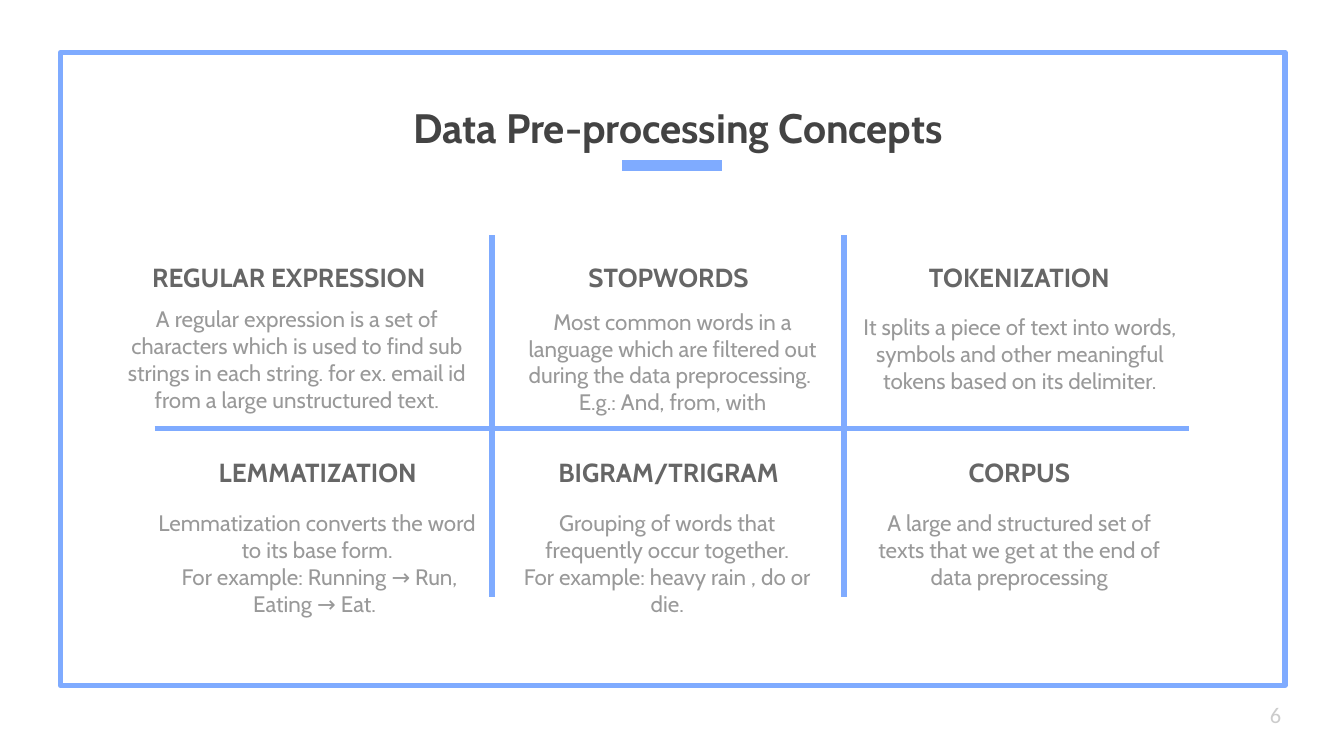
"""Build the slide of six data pre-processing concepts."""
from dataclasses import dataclass

from lxml import etree
from pptx import Presentation, util as u
from pptx.dml.color import RGBColor
from pptx.enum import shapes, text
from pptx.oxml import ns

PX = 9144


@dataclass(frozen=True)
class Theme:
    """Colours, fonts, type sizes and line widths in points."""
    accent: str = "7FABFF"
    title: str = "434343"
    heading: str = "666666"
    body: str = "999999"
    number: str = "CCCCCC"
    font: str = "Cabin"
    number_font: str = "Calibri"
    title_size: int = 22
    heading_size: int = 14
    body_size: int = 12
    rule: float = 3
    thin_rule: float = 2.25
    title_bar: float = 6


THEME = Theme()

COLUMN_STEP, ROW_STEP = 261, 145
CELL_WIDTH, CELL_HEIGHT = 231, 71

CONCEPTS = [
    ("REGULAR EXPRESSION", (-43, 274), (-44, 60, 288),
     ["A regular expression is a set of characters which is used to find sub "
      "strings in each string. for ex. email id from a large unstructured text."]),
    ("STOPWORDS", (0, CELL_WIDTH), (-8, 62, 253),
     ["Most common words in a language which are filtered out during the data "
      "preprocessing. ", "E.g.: And, from, with"]),
    ("TOKENIZATION", (0, CELL_WIDTH), (-11, 66, 254),
     ["It splits a piece of text into words, symbols and other meaningful "
      "tokens based on its delimiter."]),
    ("LEMMATIZATION", (0, CELL_WIDTH), (-14, 67, 258),
     ["Lemmatization converts the word to its base form.",
      " For example: Running → Run, Eating → Eat. "]),
    ("BIGRAM/TRIGRAM", (0, CELL_WIDTH), (-8, 67, 245),
     ["Grouping of words that frequently occur together.",
      "For example: heavy rain , do or die."]),
    ("CORPUS", (0, CELL_WIDTH), (0, 67, CELL_WIDTH),
     ["A large and structured set of texts that we get at the end of data "
      "preprocessing"]),
]


def emu(*lengths):
    """Turn px lengths into EMU."""
    return [length * PX for length in lengths]


def style_line(line, width):
    """Give a line the accent colour and a width in points."""
    line.color.rgb = RGBColor.from_string(THEME.accent)
    line.width = u.Pt(width)


def add_rule(slide, start, end, width):
    """Draw a straight accent line."""
    rule = slide.shapes.add_connector(
        shapes.MSO_CONNECTOR.STRAIGHT, *emu(*start, *end))
    style_line(rule.line, width)
    etree.SubElement(rule._element.spPr, ns.qn("a:effectLst"))


def add_text(slide, box, lines, size, color, anchor, bold=False,
             font=THEME.font, align=text.PP_ALIGN.CENTER):
    """Place one paragraph per line in a box."""
    frame = slide.shapes.add_textbox(*emu(*box)).text_frame
    frame.word_wrap = True
    frame.vertical_anchor = anchor
    frame.margin_left = frame.margin_right = 10 * PX
    frame.margin_top = frame.margin_bottom = 10 * PX
    frame.text = "\n".join(lines)
    for paragraph in frame.paragraphs:
        paragraph.alignment = align
        paragraph.font.name = font
        paragraph.font.size = u.Pt(size)
        paragraph.font.bold = bold
        paragraph.font.color.rgb = RGBColor.from_string(color)


def add_frame(slide, box):
    """Draw the border around the content."""
    border = slide.shapes.add_shape(shapes.MSO_SHAPE.RECTANGLE, *emu(*box))
    border.shadow.inherit = False
    border.fill.background()
    style_line(border.line, THEME.rule)


def add_title(slide, box):
    """Place the title and the short bar below it."""
    left, top, width, height = box
    add_text(slide, box, ["Data Pre-processing Concepts"], THEME.title_size,
             THEME.title, text.MSO_ANCHOR.BOTTOM, bold=True)
    bar_left, bar_top = left + 378, top + height
    add_rule(slide, (bar_left, bar_top), (bar_left + 74, bar_top), THEME.title_bar)


def add_dividers(slide, box):
    """Draw the lines that part the six concepts."""
    left, top, width, height = box
    middle = top + 144
    add_rule(slide, (left, middle), (left + width, middle), THEME.rule)
    for column in range(3):
        start = left + 11 + column * COLUMN_STEP
        add_rule(slide, (start, middle), (start + 226, middle), THEME.thin_rule)
    for divider in (left + 251, left + 513):
        add_rule(slide, (divider, top), (divider, top + height), THEME.rule)


def add_concept(slide, box, heading, heading_span, body_place, body):
    """Place a concept's heading and explanation in its cell."""
    left, top, width, height = box
    heading_dx, heading_width = heading_span
    body_dx, body_dy, body_width = body_place
    add_text(slide, (left + heading_dx, top, heading_width, height), [heading],
             THEME.heading_size, THEME.heading, text.MSO_ANCHOR.BOTTOM, bold=True)
    add_text(slide, (left + body_dx, top + body_dy, body_width, height), body,
             THEME.body_size, THEME.body, text.MSO_ANCHOR.TOP)


def add_concepts(slide, box):
    """Lay out the concepts in rows of three."""
    left, top = box[:2]
    for index, concept in enumerate(CONCEPTS):
        row, column = divmod(index, 3)
        cell = (left + column * COLUMN_STEP, top + row * ROW_STEP,
                CELL_WIDTH, CELL_HEIGHT)
        add_concept(slide, cell, *concept)


def add_page_number(slide, box):
    """Place the page number."""
    add_text(slide, box, ["6"], THEME.body_size, THEME.number,
             text.MSO_ANCHOR.MIDDLE, font=THEME.number_font,
             align=text.PP_ALIGN.LEFT)


def main():
    """Build and save the presentation."""
    deck = Presentation()
    deck.slide_width = 1000 * PX
    deck.slide_height = deck.slide_width * 9 // 16
    slide = deck.slides.add_slide(deck.slide_layouts[6])
    add_frame(slide, (45, 39, 911, 471))
    add_dividers(slide, (115, 175, 770, 269))
    add_title(slide, (85, 70, 839, 53))
    add_concepts(slide, (121, 157, 753, 216))
    add_page_number(slide, (935, 510, 60, 43))
    deck.save("out.pptx")


if __name__ == "__main__":
    main()
